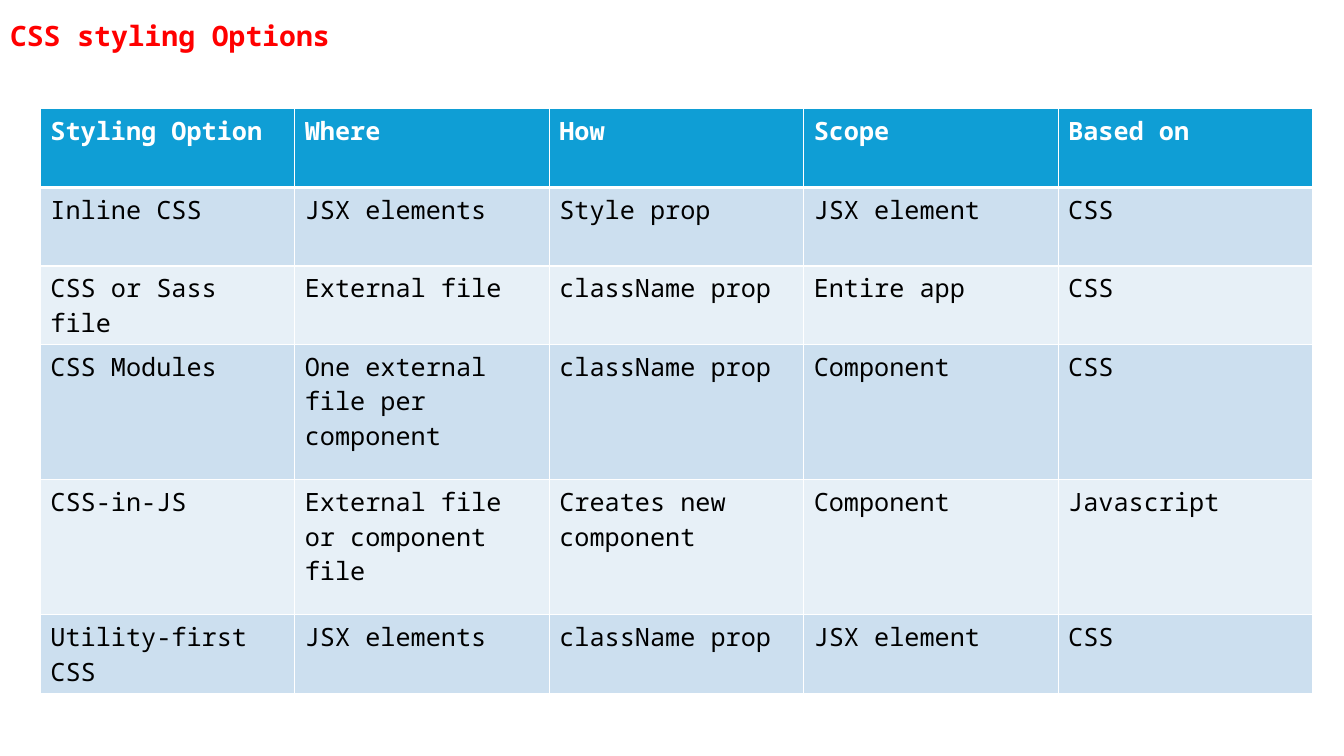
from lxml.etree import SubElement
from pptx import Presentation
from pptx.dml.color import RGBColor
from pptx.enum.text import MSO_ANCHOR, PP_ALIGN
from pptx.oxml.ns import qn
from pptx.util import Inches, Pt

RED = RGBColor(0xFF, 0x00, 0x00)
WHITE = RGBColor(0xFF, 0xFF, 0xFF)
BLACK = RGBColor(0x00, 0x00, 0x00)
BLUE = RGBColor(0x0F, 0x9E, 0xD5)
BANDS = RGBColor(0xCC, 0xDF, 0xEF), RGBColor(0xE7, 0xF0, 0xF7)

ROWS = [
    ("Styling Option", "Where", "How", "Scope", "Based on"),
    ("Inline CSS", "JSX elements", "Style prop", "JSX element", "CSS"),
    ("CSS or Sass file", "External file", "className prop", "Entire app", "CSS"),
    ("CSS Modules", "One external file per component", "className prop",
     "Component", "CSS"),
    ("CSS-in-JS", "External file or component file", "Creates new component",
     "Component", "Javascript"),
    ("Utility-first CSS", "JSX elements", "className prop", "JSX element", "CSS"),
]
HEIGHTS = [0.78, 0.78, 0.78, 1.34, 1.34, 0.78]


def write(frame, text, size=18, color=BLACK, bold=False, font="Noto Sans Mono",
          spacing=None):
    para = frame.paragraphs[0]
    para.alignment = PP_ALIGN.LEFT
    para.line_spacing = spacing
    run = para.add_run()
    run.text = text
    run.font.name = font
    run.font.size = Pt(size)
    run.font.bold = bold
    run.font.color.rgb = color


def border(cell, side, width):
    line = SubElement(cell._tc.get_or_add_tcPr(), qn(f"a:ln{side}"), w=str(Pt(width)))
    fill = SubElement(line, qn("a:solidFill"))
    SubElement(fill, qn("a:srgbClr"), val=str(WHITE))


class Deck:
    def __init__(self, slide):
        self.slide = slide

    def title(self, text, left, top, width, height):
        shape = self.slide.shapes.title
        shape.left, shape.top = Inches(left), Inches(top)
        shape.width, shape.height = Inches(width), Inches(height)
        frame = shape.text_frame
        frame.word_wrap = True
        frame.vertical_anchor = MSO_ANCHOR.MIDDLE
        write(frame, text, size=20, color=RED, bold=True, spacing=0.9)

    def table(self, rows, heights, left, top, width):
        count = len(rows[0])
        table = self.slide.shapes.add_table(
            len(rows), count, Inches(left), Inches(top),
            Inches(width), Inches(sum(heights))).table
        for column in table.columns:
            column.width = Inches(width / count)
        for i, (texts, height) in enumerate(zip(rows, heights)):
            table.rows[i].height = Inches(height)
            for j, text in enumerate(texts):
                self.cell(table.cell(i, j), text, i)

    def cell(self, cell, text, row):
        head = row == 0
        # Borders must come before the fill in the cell's XML.
        for side in "LRTB":
            thick = (row, side) in ((0, "B"), (1, "T"))
            border(cell, side, 3 if thick else 1)
        cell.fill.solid()
        cell.fill.fore_color.rgb = BLUE if head else BANDS[(row - 1) % 2]
        write(cell.text_frame, text, color=WHITE if head else BLACK, bold=head)


def main():
    prs = Presentation()
    prs.slide_width, prs.slide_height = Inches(13.33), Inches(7.5)
    deck = Deck(prs.slides.add_slide(prs.slide_layouts[5]))
    deck.title("CSS styling Options", 0, 0.15, 3.68, 0.44)
    deck.table(ROWS, HEIGHTS, 0.4, 1.08, 12.62)
    prs.save("out.pptx")


if __name__ == "__main__":
    main()
